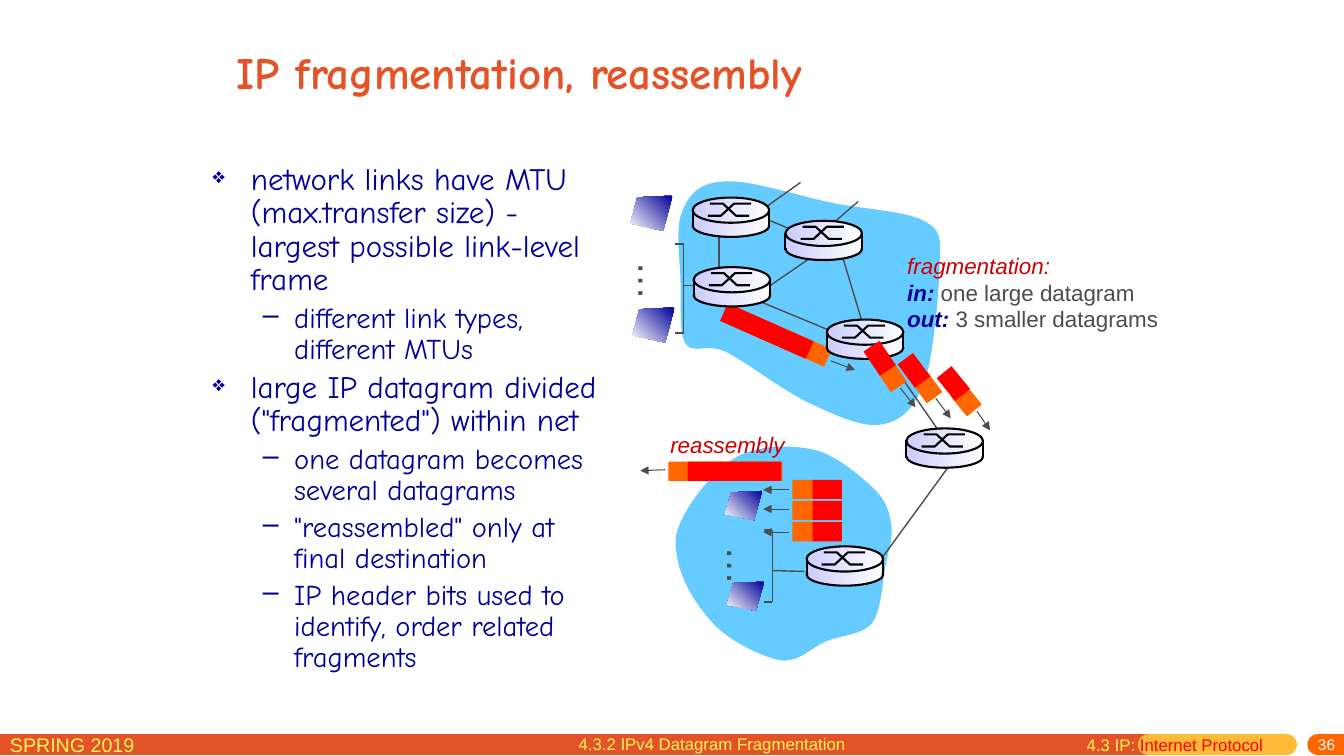
from pptx import Presentation
from pptx.dml.color import RGBColor
from pptx.enum.shapes import MSO_CONNECTOR, MSO_SHAPE
from pptx.enum.text import MSO_ANCHOR, PP_ALIGN
from pptx.oxml.ns import qn
from pptx.util import Pt
from lxml import etree

PX = 9144  # 100 px to the inch
STRAIGHT = MSO_CONNECTOR.STRAIGHT
RECTANGLE, OVAL = MSO_SHAPE.RECTANGLE, MSO_SHAPE.OVAL
TOP, MIDDLE = MSO_ANCHOR.TOP, MSO_ANCHOR.MIDDLE
LEFT, RIGHT = PP_ALIGN.LEFT, PP_ALIGN.RIGHT

ORANGE, YELLOW, NAVY, GRAY = "E45327", "FFF65C", "000099", "4C4C4C"
DARK_RED, RED, HEADER, BLACK = "CC0000", "FF0000", "FF6600", "000000"
CLOUD, LAVENDER, WHITE = "66CCFF", "CCCCFF", "FFFFFF"

# Each cloud: start point, then cubic curves as two control points and an end.
UPPER_CLOUD = [
    (719, 180), (694, 181), (684, 192), (677, 209), (669, 226), (675, 259), (675, 281),
    (676, 303), (673, 330), (680, 341), (688, 352), (700, 340), (720, 349),
    (740, 359), (777, 388), (803, 400), (829, 412), (856, 425), (875, 421),
    (894, 418), (907, 405), (917, 379), (926, 353), (931, 292), (932, 266),
    (932, 239), (936, 230), (918, 220), (900, 209), (857, 208), (824, 201),
    (791, 194), (743, 178), (719, 180)]
LOWER_CLOUD = [
    (670, 534), (674, 508), (704, 471), (726, 456), (749, 441), (783, 441), (807, 446),
    (830, 451), (855, 474), (868, 486), (880, 499), (882, 508), (884, 521),
    (886, 534), (881, 546), (878, 563), (875, 579), (874, 606), (865, 618),
    (855, 630), (835, 630), (820, 636), (805, 642), (792, 658), (773, 655),
    (754, 651), (721, 635), (704, 615), (687, 595), (669, 567), (670, 534)]

LINKS = [(677, 283, 691, 283), (740, 209, 812, 239), (833, 246, 855, 319),
         (713, 221, 713, 285), (739, 293, 845, 337), (930, 426, 878, 351),
         (824, 242, 741, 299), (794, 181, 742, 218), (851, 200, 821, 226),
         (943, 460, 873, 556), (766, 566, 798, 567)]
ROUTERS = [(820, 317), (687, 196), (688, 265), (779, 219), (899, 425), (800, 542)]

# Header box, payload box, angle, arrow
LARGE_DATAGRAM = ((714, 323, 112, 19), (714, 319, 93, 19), 23.9, (824, 358, 848, 367))
REASSEMBLED = ((663, 458, 113, 19), (682, 458, 93, 19), 0, (660, 466, 635, 467))
OUTGOING = [
    ((872, 364, 25, 19), (858, 346, 29, 19), 55.8, (893, 385, 908, 404)),
    ((907, 375, 25, 19), (892, 358, 29, 19), 53.6, (928, 395, 943, 415)),
    ((946, 388, 25, 19), (931, 371, 29, 19), 50.9, (969, 408, 982, 427))]
INCOMING = [
    ((786, y, 25, 19), (806, y, 29, 19), 0, (783, arrow_y, 757, arrow_y))
    for y, arrow_y in ((476, 486), (497, 505), (518, 528))]

BULLETS = [
    (0, "network links have MTU (max.transfer size) - largest possible link-level frame"),
    (1, "different link types, different MTUs"),
    (0, "large IP datagram divided (\"fragmented\") within net"),
    (1, "one datagram becomes several datagrams"),
    (1, "\"reassembled\" only at final destination"),
    (1, "IP header bits used to identify, order related fragments")]
# Left margin, hanging indent, text size, bullet, bullet size in percent
LEVELS = [(38, 38, 22.2, "❖", 70), (81, 31, 20.4, "–", 100)]


def color(value):
    return RGBColor.from_string(value)


def emu(lengths):
    return [round(length * PX) for length in lengths]


def paint(shape, fill=None, gradient=None, angle=0, line=None):
    """Set fill and outline; gradient is a pair of colours, angle runs counter-clockwise."""
    shape.shadow.inherit = False
    if gradient:
        shape.fill.gradient()
        shape.fill.gradient_angle = angle
        for stop, value in zip(shape.fill.gradient_stops, gradient):
            stop.color.rgb = color(value)
    elif fill:
        shape.fill.solid()
        shape.fill.fore_color.rgb = color(fill)
    else:
        shape.fill.background()
    if line:
        shape.line.color.rgb = color(line)
        shape.line.width = Pt(1.5)
    else:
        shape.line.fill.background()


def add_block(shapes, kind, box, rotation=0, **look):
    shape = shapes.add_shape(kind, *emu(box))
    shape.rotation = rotation
    paint(shape, **look)


def add_outline(shapes, points, close=True, **look):
    points = [emu(point) for point in points]
    builder = shapes.build_freeform(*points[0], scale=1.0)
    builder.add_line_segments(points[1:], close=close)
    paint(builder.convert_to_shape(), **look)


def add_line(shapes, ends, line=GRAY, width=1, arrow=False, round_cap=False):
    connector = shapes.add_connector(STRAIGHT, *emu(ends))
    connector.line.color.rgb = color(line)
    connector.line.width = Pt(width)
    properties = connector._element.spPr
    outline = properties.find(qn("a:ln"))
    if round_cap:
        outline.set("cap", "rnd")
    if arrow:
        etree.SubElement(outline, qn("a:tailEnd"), type="triangle")
    etree.SubElement(properties, qn("a:effectLst"))


def add_run(paragraph, text, size, ink, font="Arial", bold=False, italic=False):
    run = paragraph.add_run()
    run.text = text
    run.font.size, run.font.name = Pt(size), font
    run.font.bold, run.font.italic = bold, italic
    run.font.color.rgb = color(ink)


def add_text(shapes, box, text, wrap=True, anchor=TOP, align=LEFT, top=5, rotation=0, **look):
    """Text is a string, or paragraphs made of (text, changes to the look) runs."""
    shape = shapes.add_textbox(*emu(box))
    shape.rotation = rotation
    frame = shape.text_frame
    frame.word_wrap, frame.vertical_anchor = wrap, anchor
    frame.margin_top = top * PX
    paragraphs = [[(text, {})]] if isinstance(text, str) else text
    for index, runs in enumerate(paragraphs):
        paragraph = frame.add_paragraph() if index else frame.paragraphs[0]
        paragraph.alignment = align
        for words, changes in runs:
            add_run(paragraph, words, **{**look, **changes})


def add_bullets(shapes, box):
    frame = shapes.add_textbox(*emu(box)).text_frame
    frame.word_wrap = True
    for index, (level, text) in enumerate(BULLETS):
        margin, hanging, size, bullet, percent = LEVELS[level]
        paragraph = frame.add_paragraph() if index else frame.paragraphs[0]
        properties = paragraph._p.get_or_add_pPr()
        properties.set("marL", str(margin * PX))
        properties.set("indent", str(-hanging * PX))
        etree.SubElement(properties, qn("a:buSzPct"), val=str(percent * 1000))
        etree.SubElement(properties, qn("a:buChar"), char=bullet)
        paragraph.level = level
        paragraph.line_spacing = 0.9
        if index:
            paragraph.space_before = Pt(4.4)
        add_run(paragraph, text, size, NAVY, font="Comic Neue")


def add_cloud(shapes, nodes, steps=10):
    points = [nodes[0]]
    for i in range(0, len(nodes) - 1, 3):
        for step in range(1, steps + 1):
            t = step / steps
            weights = ((1 - t) ** 3, 3 * t * (1 - t) ** 2, 3 * t * t * (1 - t), t ** 3)
            points.append([sum(w * node[axis] for w, node in zip(weights, nodes[i:i + 4]))
                           for axis in (0, 1)])
    add_outline(shapes, points, fill=CLOUD)


def add_router(slide, x, y):
    shapes = slide.shapes.add_group_shape().shapes
    metal = (LAVENDER, WHITE)
    add_block(shapes, OVAL, (x, y + 17, 76, 22), gradient=metal, line=BLACK)
    add_block(shapes, RECTANGLE, (x, y + 14, 76, 13), gradient=metal)
    add_block(shapes, OVAL, (x, y, 76, 25), gradient=metal, line=BLACK)
    for left, start, end, widths in ((15, 18, 6, (0, 13, 26, 43)), (17, 6, 18, (0, 13, 26, 39))):
        heights = (start, start, end, end)
        add_outline(shapes, [(x + left + dx, y + dy) for dx, dy in zip(widths, heights)],
                    close=False, line=BLACK)
    for side in (x, x + 76):
        add_line(shapes, (side, y + 12, side, y + 29), BLACK, 1.5)


def add_datagram(shapes, header, payload, angle, arrow):
    add_block(shapes, RECTANGLE, header, angle, fill=HEADER)
    add_block(shapes, RECTANGLE, payload, angle, fill=RED)
    add_line(shapes, arrow, width=0.75, arrow=True)


def add_hosts(slide, hosts, width, height, dots, bracket):
    """Draw a local network: hosts, the dots between them and the bracket joining them."""
    shapes = slide.shapes.add_group_shape().shapes
    left, top, right, bottom = bracket
    for y in (top, bottom):
        add_line(shapes, (left, y, right, y), width=1.5)
    add_line(shapes, (right, top, right, bottom))
    for x, y in hosts:
        corners = ((1, 0), (0.17, 0.05), (0, 0.79), (0.78, 1))
        add_outline(shapes, [(x + width * dx, y + height * dy) for dx, dy in corners],
                    gradient=(NAVY, WHITE), angle=225)
    add_text(shapes, (*dots, 59, 57), "…", wrap=False, rotation=90, size=28, ink=GRAY)


def main():
    presentation = Presentation()
    presentation.slide_width, presentation.slide_height = emu((1333, 750))
    slide = presentation.slides.add_slide(presentation.slide_layouts[6])
    shapes = slide.shapes

    for start, end, ink in ((-18, 1139, ORANGE), (1139, 1276, "FFBA37"), (1307, 1360, HEADER)):
        add_line(shapes, (start, 739, end, 739), ink, 15, round_cap=True)
    add_text(shapes, (0, 722, 229, 31), "SPRING 2019", size=14, ink=YELLOW)
    add_text(shapes, (1075, 732, 259, 18), "36", anchor=MIDDLE, align=RIGHT, top=0,
             size=11, ink=WHITE)
    add_text(shapes, (225, 20, 850, 102), "IP fragmentation, reassembly", anchor=MIDDLE,
             size=32, ink=ORANGE, font="Comic Neue", bold=True)
    add_bullets(shapes, (201, 157, 417, 557))

    for cloud in (UPPER_CLOUD, LOWER_CLOUD):
        add_cloud(shapes, cloud)
    for link in LINKS:
        add_line(shapes, link)
    for datagram in (LARGE_DATAGRAM, *INCOMING, REASSEMBLED):
        add_datagram(shapes, *datagram)
    label, plain = {"ink": NAVY, "bold": True, "italic": True}, {"ink": GRAY}
    add_text(shapes, (890, 245, 270, 90), [
        [("fragmentation:", {"ink": DARK_RED, "italic": True})],
        [("in:", label), (" one large datagram", plain)],
        [("out:", label), (" 3 smaller datagrams", plain)]], wrap=False, size=16)
    add_text(shapes, (655, 423, 134, 37), "reassembly", wrap=False,
             size=16, ink=DARK_RED, italic=True)
    add_hosts(slide, [(625, 194), (627, 305)], 42, 35, (619, 251), (669, 242, 678, 330))
    for router in ROUTERS:
        add_router(slide, *router)
    for datagram in OUTGOING:
        add_datagram(shapes, *datagram)
    add_hosts(slide, [(719, 487), (721, 577)], 37, 29, (707, 533), (758, 526, 766, 597))

    add_text(shapes, (1068, 724, 220, 31),
             [[("4.3 IP: ", {"ink": YELLOW}), ("Internet Protocol", {"ink": RED})]], size=12)
    add_text(shapes, (564, 723, 289, 31), "4.3.2 IPv4 Datagram Fragmentation",
             size=12, ink=YELLOW)
    presentation.save("out.pptx")


if __name__ == "__main__":
    main()
